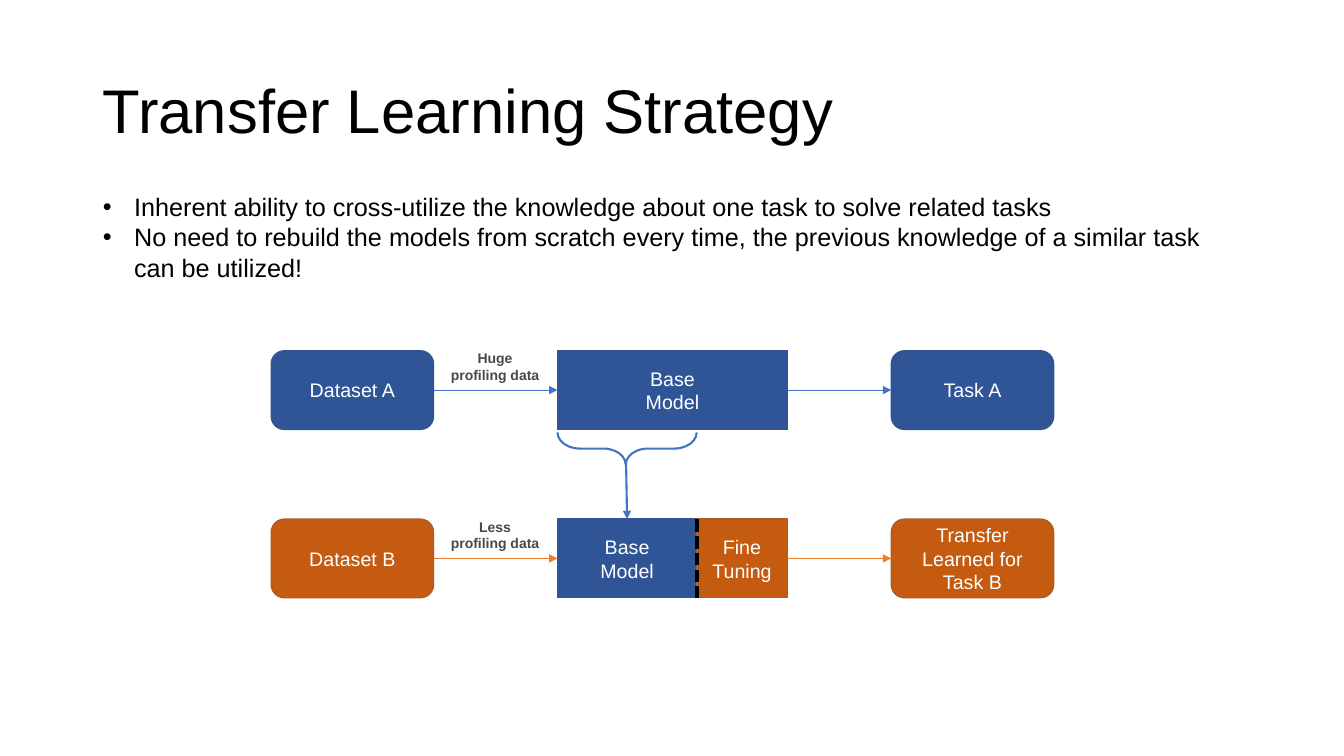
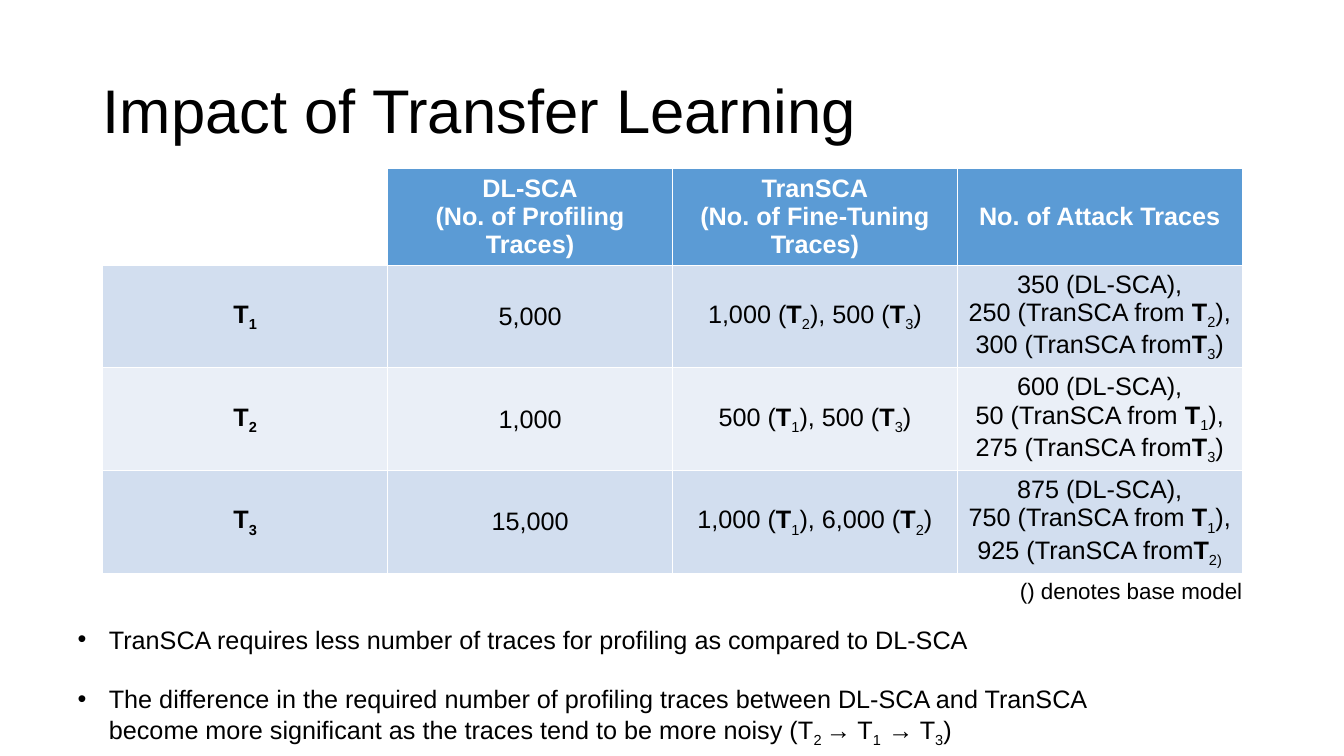
from lxml import etree
from pptx import Presentation
from pptx.dml.color import RGBColor
from pptx.enum.dml import MSO_LINE
from pptx.enum.shapes import MSO_CONNECTOR, MSO_SHAPE
from pptx.enum.text import MSO_ANCHOR, MSO_AUTO_SIZE, PP_ALIGN
from pptx.oxml.ns import qn
from pptx.util import Inches, Pt

LINE = MSO_CONNECTOR.STRAIGHT
RECT, ROUND, BRACE = MSO_SHAPE.RECTANGLE, MSO_SHAPE.ROUNDED_RECTANGLE, MSO_SHAPE.LEFT_BRACE
LEFT, MID, RIGHT = PP_ALIGN.LEFT, PP_ALIGN.CENTER, PP_ALIGN.RIGHT
HEX = {
    "black": "000000", "white": "FFFFFF", "label": "4B4948",
    "blue": "2F5597", "blue edge": "325491", "blue line": "4472C4",
    "rust": "C55A11", "rust edge": "AF5C24", "rust line": "ED7D31",
    "head": "5B9BD5", "odd": "D2DEEF", "even": "EAEFF7",
}
RGB = {name: RGBColor.from_string(code) for name, code in HEX.items()}


def write(frame, text, size, tint="black", align=LEFT, bold=False):
    """Write one paragraph a line; | parts runs, * marks bold and _ a subscript."""
    for i, line in enumerate(text.split("\n")):
        para = frame.paragraphs[0] if i == 0 else frame.add_paragraph()
        para.alignment = align
        for piece in line.split("|"):
            run = para.add_run()
            run.text = piece.lstrip("*_")
            font = run.font
            font.name, font.size = "Arial", Pt(size)
            font.color.rgb = RGB[tint]
            font.bold = bold or piece.startswith("*")
            if piece.startswith("_"):
                run._r.get_or_add_rPr().set("baseline", "-25000")


def link(shapes, start, end, tint, width, arrow=True):
    """Draw a line between points, or between (shape, side) pairs."""
    line = shapes.add_connector(LINE, 0, 0, 0, 0)
    if isinstance(start[0], float):
        line.begin_x, line.begin_y = Inches(start[0]), Inches(start[1])
    else:
        line.begin_connect(*start)
    if isinstance(end[0], float):
        line.end_x, line.end_y = Inches(end[0]), Inches(end[1])
    else:
        line.end_connect(*end)
    line.line.color.rgb = RGB[tint]
    line.line.width = Pt(width)
    props = line._element.spPr
    if arrow:
        etree.SubElement(props.find(qn("a:ln")), qn("a:tailEnd"), type="triangle")
    etree.SubElement(props, qn("a:effectLst"))
    return line


deck = Presentation()
deck.slide_width, deck.slide_height = Inches(13.33), Inches(7.5)

# Shared title place
layout = deck.slide_layouts[1]
head = layout.placeholders[0]
head.left, head.top, head.width, head.height = map(Inches, (0.92, 0.4, 11.5, 1.45))

# Titles and lists of both slides
pages = [
    ("Transfer Learning Strategy", (0.92, 1.85, 11.5, 1.01), 0,
     "Inherent ability to cross-utilize the knowledge about one task to solve related tasks\n"
     "No need to rebuild the models from scratch every time, the previous knowledge of "
     "a similar task can be utilized!"),
    ("Impact of Transfer Learning", (0.67, 6.14, 11.09, 1.31), 21,
     "TranSCA requires less number of traces for profiling as compared to DL-SCA\n"
     "The difference in the required number of profiling traces between DL-SCA and TranSCA "
     "become more significant as the traces tend to be more noisy "
     "(T|_2 |→ T|_1| → T|_3|)"),
]
for title, place, gap, points in pages:
    slide = deck.slides.add_slide(layout)
    frame = slide.shapes.title.text_frame
    write(frame, title, 44)
    frame.vertical_anchor = MSO_ANCHOR.MIDDLE
    frame.paragraphs[0].line_spacing = 0.9
    body = slide.placeholders[1]
    body.left, body.top, body.width, body.height = map(Inches, place)
    frame = body.text_frame
    frame.auto_size = MSO_AUTO_SIZE.NONE
    write(frame, points, 18)
    for i, para in enumerate(frame.paragraphs):
        para.space_before = Pt(gap if i else 0)
        props = para._p.get_or_add_pPr()
        props.set("marL", str(Inches(0.31)))
        props.set("indent", str(-Inches(0.31)))

# Slide 1: flow from data to task, one row per task
shapes = deck.slides[0].shapes
TALL = 0.78
ROWS = [
    (3.48, "blue", "Huge\nprofiling data", [
        (ROUND, 2.69, 1.61, "blue", "Dataset A"),
        (RECT, 5.53, 2.28, "blue", "Base\nModel"),
        (ROUND, 8.84, 1.61, "blue", "Task A")]),
    (5.15, "rust", "Less\nprofiling data", [
        (ROUND, 2.69, 1.61, "rust", "Dataset B"),
        (RECT, 5.53, 1.38, "blue", "Base\nModel"),
        (RECT, 6.91, 0.9, "rust", "Fine\nTuning"),
        (ROUND, 8.84, 1.61, "rust", "Transfer Learned for Task B")]),
]
for top, tone, label, boxes in ROWS:
    drawn = []
    for kind, left, wide, tint, text in boxes:
        box = shapes.add_shape(kind, Inches(left), Inches(top), Inches(wide), Inches(TALL))
        box.shadow.inherit = False
        box.fill.solid()
        box.fill.fore_color.rgb = RGB[tint]
        box.line.color.rgb = RGB[tint + " edge"]
        box.line.width = Pt(1)
        box.text_frame.vertical_anchor = MSO_ANCHOR.MIDDLE
        write(box.text_frame, text, 14, "white", MID)
        drawn.append(box)
    link(shapes, (drawn[0], 3), (drawn[1], 1), tone + " line", 0.5)
    link(shapes, (drawn[-2], 3), (drawn[-1], 1), tone + " line", 0.5)
    note = shapes.add_textbox(Inches(4.36), Inches(top - 0.06), Inches(1.1), Inches(0.44))
    note.text_frame.word_wrap = False
    write(note.text_frame, label, 10, "label", MID, True)

base = drawn[1]
seam = link(shapes, (6.91, 5.15), (6.91, 5.15 + TALL), "black", 3, False)
seam.line.dash_style = MSO_LINE.SQUARE_DOT
brace = shapes.add_shape(BRACE, Inches(6.06), Inches(3.76), Inches(0.32), Inches(1.38))
brace.rotation = 270
brace.adjustments[0], brace.adjustments[1] = 0.69, 0.49
brace.shadow.inherit = False
brace.fill.background()
brace.line.color.rgb = RGB["blue line"]
brace.line.width = Pt(1.5)
link(shapes, (6.21, 4.61), (base, 0), "blue line", 1.5)

# Slide 2: trace counts
shapes = deck.slides[1].shapes
CELLS = [
    ["", "DL-SCA\n(No. of Profiling Traces)", "TranSCA\n(No. of Fine-Tuning Traces)",
     "No. of Attack Traces"],
    ["T|_1", "5,000", "1,000 (|*T|_2|), 500 (|*T|_3|)",
     "350 (DL-SCA),\n250 (TranSCA from |*T|_2|), 300 (TranSCA from|*T|_3|)"],
    ["T|_2", "1,000", "500 (|*T|_1|), 500 (|*T|_3|)",
     "600 (DL-SCA),\n50 (TranSCA from |*T|_1|), 275 (TranSCA from|*T|_3|)"],
    ["T|_3", "15,000", "1,000 (|*T|_1|), 6,000 (|*T|_2|)",
     "875 (DL-SCA),\n750 (TranSCA from |*T|_1|), 925 (TranSCA from|*T|_2)"],
]
grid = shapes.add_table(4, 4, Inches(1.02), Inches(1.67), Inches(11.3), Inches(4.02)).table
for r, texts in enumerate(CELLS):
    grid.rows[r].height = Inches(1.02 if r else 0.96)
    tint = "head" if r == 0 else "odd" if r % 2 else "even"
    for c, text in enumerate(texts):
        cell = grid.cell(r, c)
        if not text:
            cell.fill.background()
            continue
        cell.fill.solid()
        cell.fill.fore_color.rgb = RGB[tint]
        cell.vertical_anchor = MSO_ANCHOR.MIDDLE
        write(cell.text_frame, text, 18, "black" if r else "white", MID, r == 0 or c == 0)

note = shapes.add_textbox(Inches(9.98), Inches(5.68), Inches(2.44), Inches(0.37))
note.text_frame.word_wrap = False
write(note.text_frame, "() denotes base model", 16, align=RIGHT)

deck.save("out.pptx")
